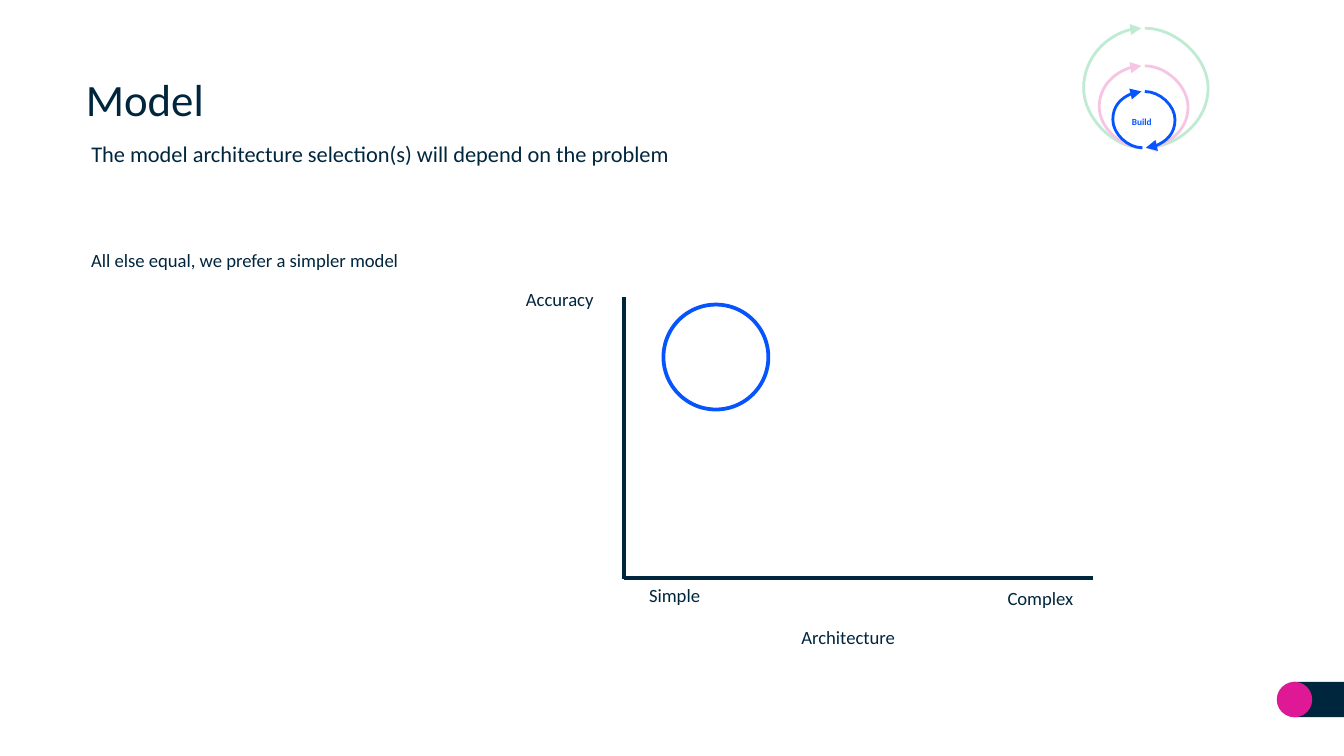
from lxml import etree
from pptx import Presentation
from pptx.dml.color import RGBColor
from pptx.enum import shapes as kinds, text as txt
from pptx.oxml.ns import qn
from pptx.util import Pt

COLORS = {"navy": "00263E", "pink": "DF1995", "green": "00B050", "blue": "0654FE", "white": "FFFFFF"}
FONT = "Calibri"

# text, (left, top, width, height), format
TEXTS = [
    ("Model", (38.9, 33.1, 644.4, 39.6),
     dict(size=24, align="LEFT", anchor="MIDDLE", inset=7.2, spacing=1)),
    ("The model architecture selection(s) will depend on the problem",
     (48.2, 72, 406, 18), dict(size=12, align="JUSTIFY")),
    ("All else equal, we prefer a simpler model", (48.2, 131, 213, 15), dict(align="JUSTIFY")),
    ("Accuracy", (271.4, 151.9, 56.9, 15), {}),
    ("Simple", (339.8, 310.3, 43.2, 15), {}),
    ("Complex", (529.2, 311.8, 56.2, 15), {}),
    ("Architecture", (416.2, 332.6, 76.3, 15), {}),
]
BUILD_LABEL = ("Build", (585.4, 60.5, 52.6, 8.6), dict(size=5, color="blue", bold=True))

# colour, top, bulge to the left, bulge to the right
OUTER_LOOPS = [("green", 15.1, 31.6, 34), ("pink", 35.3, 23.2, 23.2)]
BUILD_LOOP = ("blue", 49, 15.9, 16.2)
LOOP_LEFT, LOOP_RIGHT, LOOP_BOTTOM, LOOP_STEP = 611.5, 613.3, 79.2, 0.54

ORIGIN_X, ORIGIN_Y, ACCURACY_TOP, COMPLEX_END = 334.4, 309.6, 159.1, 585.4

prs = Presentation()
prs.slide_width, prs.slide_height = Pt(720), Pt(405)
slide = prs.slides.add_slide(prs.slide_layouts[6])


def rgb(name):
    return RGBColor.from_string(COLORS[name])


def add_text(words, box, size=10, color="navy", bold=False, align="CENTER",
             anchor="TOP", inset=0.72, spacing=1.15):
    frame = slide.shapes.add_textbox(*map(Pt, box)).text_frame
    frame.word_wrap = True
    frame.vertical_anchor = getattr(txt.MSO_ANCHOR, anchor)
    frame.margin_left = frame.margin_top = frame.margin_right = frame.margin_bottom = Pt(inset)
    paragraph = frame.paragraphs[0]
    paragraph.text = words
    paragraph.alignment = getattr(txt.PP_ALIGN, align)
    paragraph.line_spacing = spacing
    font = paragraph.font
    font.name, font.size, font.bold = FONT, Pt(size), bold
    font.color.rgb = rgb(color)


def add_solid(kind, box, fill=None, line=None, width=2):
    solid = slide.shapes.add_shape(kind, *map(Pt, box))
    solid.shadow.inherit = False
    if fill:
        solid.fill.solid()
        solid.fill.fore_color.rgb = rgb(fill)
    else:
        solid.fill.background()
    if line:
        solid.line.color.rgb = rgb(line)
        solid.line.width = Pt(width)
    else:
        solid.line.fill.background()
    return solid


def add_line(start, end, color, width, kind=kinds.MSO_CONNECTOR.STRAIGHT):
    line = slide.shapes.add_connector(kind, *map(Pt, start + end))
    line.line.color.rgb = rgb(color)
    line.line.width = Pt(width)
    etree.SubElement(line._element.spPr, qn("a:effectLst"))
    return line


def add_half_loop(start, end, color, bulge):
    """Curved arrow that swings out by bulge points from its start."""
    half = add_line(start, end, color, 1.5, kinds.MSO_CONNECTOR.CURVE)
    guides = half._element.spPr.find(qn("a:prstGeom")).get_or_add_avLst()
    etree.SubElement(guides, qn("a:gd"), name="adj1",
                     fmla=f"val {round(bulge / LOOP_STEP * 100000)}")
    etree.SubElement(half.line._get_or_add_ln(), qn("a:tailEnd"), type="triangle")


def add_loop(color, top, left_bulge, right_bulge):
    add_half_loop((LOOP_LEFT + LOOP_STEP, LOOP_BOTTOM), (LOOP_LEFT, top), color, left_bulge)
    add_half_loop((LOOP_RIGHT, top), (LOOP_RIGHT + LOOP_STEP, LOOP_BOTTOM), color, right_bulge)


# Footer mark
RECTANGLE, OVAL = kinds.MSO_SHAPE.RECTANGLE, kinds.MSO_SHAPE.OVAL
add_solid(RECTANGLE, (692.9, 365.3, 27.1, 19), "navy")
add_solid(OVAL, (684, 365.3, 19, 19), "pink")

# Nested loops: a pale veil fades all but the build loop
for loop in OUTER_LOOPS:
    add_loop(*loop)
veil = add_solid(OVAL, (577.4, 10.8, 72, 72), "white")
veil_color = veil._element.spPr.find(qn("a:solidFill"))[0]
etree.SubElement(veil_color, qn("a:alpha"), val="75000")
add_loop(*BUILD_LOOP)

# Accuracy against architecture
add_line((ORIGIN_X, ORIGIN_Y), (COMPLEX_END, ORIGIN_Y), "navy", 2.25)
add_line((ORIGIN_X, ACCURACY_TOP), (ORIGIN_X, ORIGIN_Y + 0.7), "navy", 2.25)
add_solid(OVAL, (355.4, 163.2, 56.2, 56.2), line="blue")

for words, box, style in [BUILD_LABEL] + TEXTS:
    add_text(words, box, **style)

prs.save("out.pptx")
